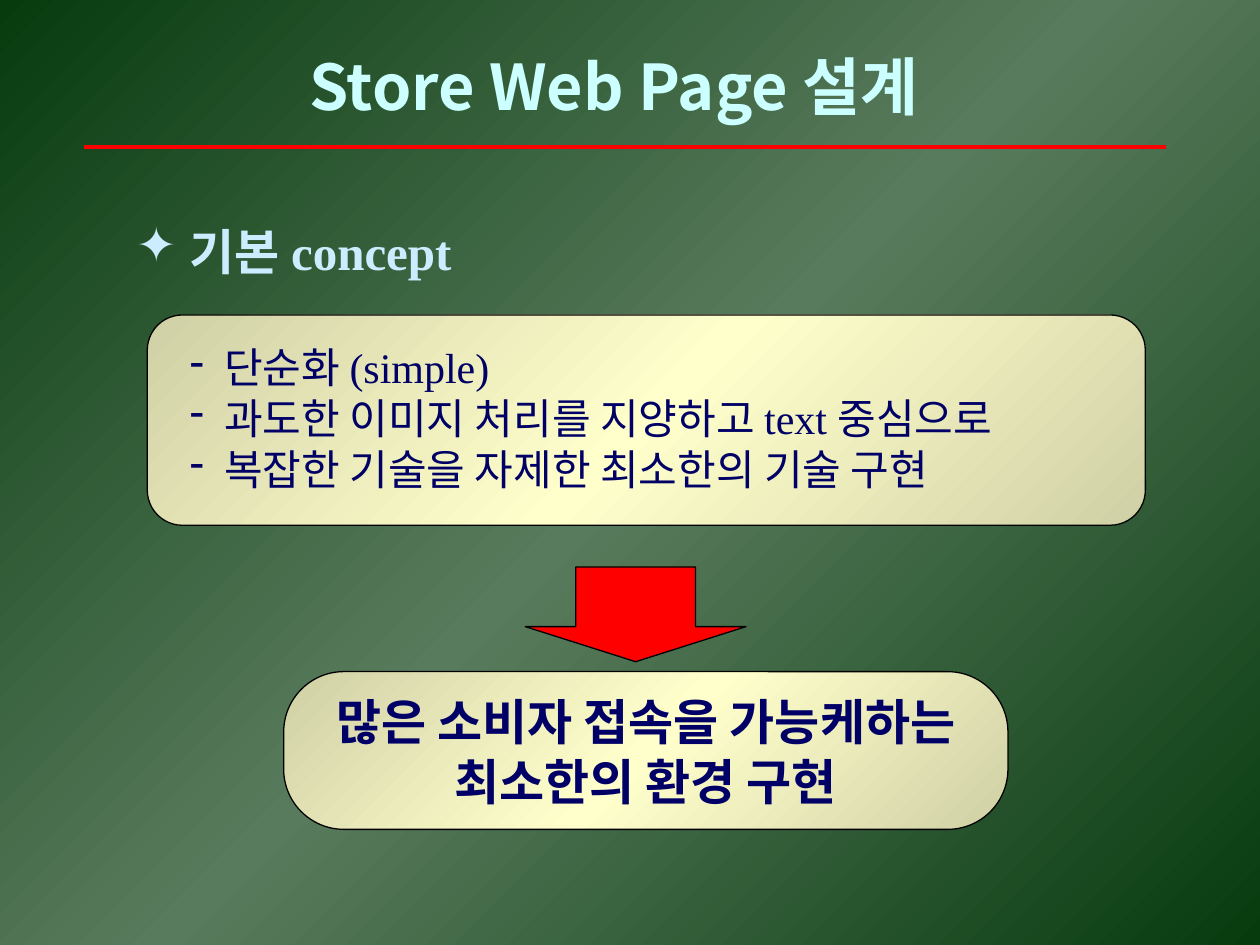
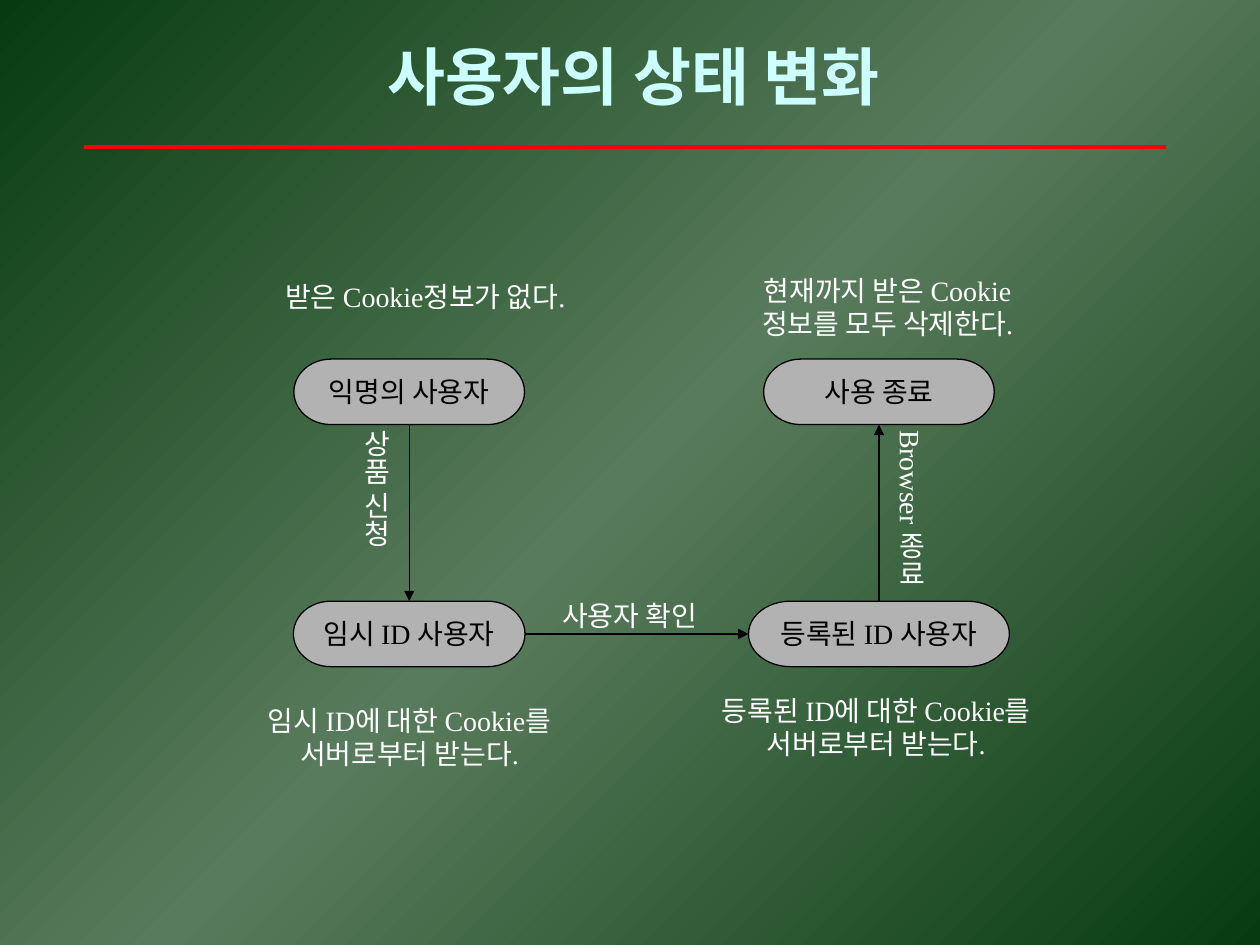
from copy import deepcopy
from dataclasses import dataclass

from lxml import etree
from pptx import Presentation
from pptx import util as u
from pptx.dml.color import RGBColor
from pptx.enum import shapes, text
from pptx.oxml import ns

DARK_GREEN = RGBColor(0x07, 0x3B, 0x0E)
LIGHT_GREEN = RGBColor(0x59, 0x7B, 0x5D)
SAND = RGBColor(0xD0, 0xD0, 0xA6)
CREAM = RGBColor(0xFF, 0xFF, 0xCC)
RED = RGBColor(0xFF, 0x00, 0x00)
BLACK = RGBColor(0x00, 0x00, 0x00)
WHITE = RGBColor(0xFF, 0xFF, 0xFF)
GRAY = RGBColor(0xB2, 0xB2, 0xB2)
NAVY = RGBColor(0x00, 0x00, 0x66)
PALE_CYAN = RGBColor(0xCC, 0xFF, 0xFF)
PALE_BLUE = RGBColor(0xCC, 0xEC, 0xFF)

SANS = "Noto Sans CJK KR"
SERIF = "Times New Roman"
LINE_FACTOR = 1.2

LEFT, CENTER = text.PP_ALIGN.LEFT, text.PP_ALIGN.CENTER
TOP, MIDDLE = text.MSO_ANCHOR.TOP, text.MSO_ANCHOR.MIDDLE
TOP_SIDE, LEFT_SIDE, BOTTOM_SIDE, RIGHT_SIDE = range(4)


@dataclass(frozen=True)
class Style:
    size: int
    color: RGBColor
    name: str = SERIF
    bold: bool = False


@dataclass(frozen=True)
class Frame:
    """A place on the page, in centimetres."""
    left: float
    top: float
    width: float
    height: float

    def lengths(self) -> tuple:
        return tuple(map(u.Cm, (self.left, self.top, self.width, self.height)))


@dataclass(frozen=True)
class Bullet:
    mark: str
    margin: float
    hanging: float


@dataclass(frozen=True)
class State:
    caption: str
    center: float
    top: float
    width: float


@dataclass(frozen=True)
class Label:
    caption: str
    frame: Frame
    vertical: bool = False


@dataclass(frozen=True)
class Step:
    """An arrow from a side of one state to a side of another."""
    start: str
    start_side: int
    end: str
    end_side: int


TITLE = Style(36, PALE_CYAN, SANS, True)
HEADING = Style(28, PALE_BLUE, bold=True)
ITEM = Style(24, NAVY)
CONCLUSION = Style(28, NAVY, bold=True)
STATE = Style(16, BLACK)
NOTE = Style(16, WHITE)

HEADING_BULLET = Bullet("✦", 1.09, 1.09)
ITEM_BULLET = Bullet("-", 1.78, 0.69)
CONCEPTS = (
    "단순화 (simple)",
    "과도한 이미지 처리를 지양하고 text 중심으로",
    "복잡한 기술을 자제한 최소한의 기술 구현",
)

LEFT_COLUMN, RIGHT_COLUMN = 8.25, 17.72
UPPER_ROW, LOWER_ROW = 7.24, 12.12
STATE_HEIGHT = 1.32
STATES = (
    State("익명의 사용자", LEFT_COLUMN, UPPER_ROW, 4.65),
    State("임시 ID 사용자", LEFT_COLUMN, LOWER_ROW, 4.67),
    State("등록된 ID 사용자", RIGHT_COLUMN, LOWER_ROW, 5.26),
    State("사용 종료", RIGHT_COLUMN, UPPER_ROW, 4.65),
)
STEPS = (
    Step("익명의 사용자", BOTTOM_SIDE, "임시 ID 사용자", TOP_SIDE),
    Step("임시 ID 사용자", RIGHT_SIDE, "등록된 ID 사용자", LEFT_SIDE),
    Step("등록된 ID 사용자", TOP_SIDE, "사용 종료", BOTTOM_SIDE),
)
LABELS = (
    Label("사용자 확인", Frame(10.89, 11.94, 3.6, 0.94)),
    Label("상품 신청", Frame(6.99, 8.42, 1.17, 4.2), vertical=True),
    Label("Browser 종료", Frame(17.78, 8.42, 1.17, 4.2), vertical=True),
    Label("임시 ID에 대한 Cookie를 서버로부터 받는다.", Frame(5.08, 14.05, 6.35, 1.63)),
    Label("등록된 ID에 대한 Cookie를 서버로부터 받는다.", Frame(14.17, 13.84, 6.99, 1.63)),
    Label("현재까지 받은 Cookie정보를 모두 삭제한다.", Frame(14.4, 5.38, 6.99, 1.63)),
    Label("받은 Cookie정보가 없다.", Frame(5.08, 5.51, 6.99, 0.94)),
)


def set_all(target, values: dict) -> None:
    for name, value in values.items():
        setattr(target, name, value)


def fill_axial(fill, element, edge: RGBColor, middle: RGBColor) -> None:
    """Fill diagonally from edge to middle and back to edge."""
    fill.gradient()
    fill.gradient_angle = 135
    stop_list = element.find(".//" + ns.qn("a:gsLst"))
    stop_list.append(deepcopy(stop_list[0]))
    for stop, color, position in zip(fill.gradient_stops, (edge, middle, edge), (0, 0.5, 1)):
        stop.color.rgb = color
        stop.position = position


def place(box, frame: Frame) -> None:
    set_all(box, dict(zip(("left", "top", "width", "height"), frame.lengths())))


def format_frame(box, anchor, wrap: bool = True, vertical: bool = False) -> None:
    side, end = (0.13, 0.25) if vertical else (0.25, 0.13)
    set_all(box.text_frame, {
        "auto_size": text.MSO_AUTO_SIZE.NONE,
        "word_wrap": wrap,
        "vertical_anchor": anchor,
        "margin_left": u.Cm(side),
        "margin_right": u.Cm(side),
        "margin_top": u.Cm(end),
        "margin_bottom": u.Cm(end),
    })
    if vertical:
        box.element.find(".//" + ns.qn("a:bodyPr")).set("vert", "eaVert")


def add_bullet(para, bullet: Bullet) -> None:
    properties = para._p.get_or_add_pPr()
    properties.set("marL", str(u.Cm(bullet.margin)))
    properties.set("indent", str(-u.Cm(bullet.hanging)))
    etree.SubElement(properties, ns.qn("a:buFontTx"))
    etree.SubElement(properties, ns.qn("a:buChar"), char=bullet.mark)


def write(para, words: str, style: Style, align=CENTER, space_before: int = 0) -> None:
    set_all(para, {
        "alignment": align,
        "line_spacing": u.Pt(round(style.size * LINE_FACTOR)),
        "space_before": u.Pt(space_before),
        "space_after": u.Pt(0),
    })
    span = para.add_run()
    span.text = words
    set_all(span.font, {"size": u.Pt(style.size), "bold": style.bold, "name": style.name})
    span.font.color.rgb = style.color
    etree.SubElement(span._r.get_or_add_rPr(), ns.qn("a:ea"), typeface=SANS)


def add_line(page, color: RGBColor, width: float, start=(0, 0), end=(0, 0)):
    line = page.shapes.add_connector(
        shapes.MSO_CONNECTOR.STRAIGHT, *map(u.Cm, start), *map(u.Cm, end))
    line.line.color.rgb = color
    line.line.width = u.Pt(width)
    etree.SubElement(line.element.spPr, ns.qn("a:effectLst"))
    return line


def add_outlined(page, preset, frame: Frame, adjustments: tuple = (), color=None):
    """Add a shape with a thin black line; without a colour it gets the cream gradient."""
    shape = page.shapes.add_shape(preset, *frame.lengths())
    shape.shadow.inherit = False
    for index, value in enumerate(adjustments):
        shape.adjustments[index] = value
    if color is None:
        fill_axial(shape.fill, shape.element, SAND, CREAM)
    else:
        shape.fill.solid()
        shape.fill.fore_color.rgb = color
    shape.line.color.rgb = BLACK
    shape.line.width = u.Pt(0.75)
    return shape


def add_page(deck, layout: int, title: str, frame: Frame, align=CENTER):
    page = deck.slides.add_slide(deck.slide_layouts[layout])
    box = page.shapes.title
    place(box, frame)
    format_frame(box, TOP)
    write(box.text_frame.paragraphs[0], title, TITLE, align)
    add_line(page, RED, 2.25, (1.7, 2.97), (23.5, 2.97))
    return page


def build_concept_page(deck) -> None:
    page = add_page(deck, 1, "Store Web Page 설계", Frame(5.99, 0.84, 13.6, 1.78), LEFT)
    rounded = shapes.MSO_SHAPE.ROUNDED_RECTANGLE

    body = page.placeholders[1]
    place(body, Frame(2.49, 4.32, 18.77, 5.72))
    format_frame(body, TOP)
    heading = body.text_frame.paragraphs[0]
    add_bullet(heading, HEADING_BULLET)
    write(heading, "기본 concept", HEADING, LEFT)
    for index, concept in enumerate(CONCEPTS):
        para = body.text_frame.add_paragraph()
        add_bullet(para, ITEM_BULLET)
        write(para, concept, ITEM, LEFT, space_before=0 if index else 35)

    panel = add_outlined(page, rounded, Frame(2.97, 6.35, 20.12, 4.24), (0.167,))
    body.element.addprevious(panel.element)

    conclusion = add_outlined(page, rounded, Frame(5.72, 13.54, 14.6, 3.18), (0.382,))
    format_frame(conclusion, MIDDLE, wrap=False)
    lines = conclusion.text_frame
    write(lines.paragraphs[0], "많은 소비자 접속을 가능케하는", CONCLUSION)
    write(lines.add_paragraph(), "최소한의 환경 구현", CONCLUSION)
    add_outlined(page, shapes.MSO_SHAPE.DOWN_ARROW, Frame(10.59, 11.43, 4.45, 1.91),
                 (0.542, 0.37), RED)


def build_state_page(deck) -> None:
    page = add_page(deck, 5, "사용자의 상태 변화", Frame(7.29, 0.64, 10.95, 1.78))

    boxes = {}
    for state in STATES:
        frame = Frame(state.center - state.width / 2, state.top, state.width, STATE_HEIGHT)
        box = add_outlined(page, shapes.MSO_SHAPE.FLOWCHART_TERMINATOR, frame, color=GRAY)
        format_frame(box, MIDDLE, wrap=False)
        write(box.text_frame.paragraphs[0], state.caption, STATE)
        boxes[state.caption] = box

    for step in STEPS:
        arrow = add_line(page, BLACK, 0.75)
        arrow.begin_connect(boxes[step.start], step.start_side)
        arrow.end_connect(boxes[step.end], step.end_side)
        etree.SubElement(arrow.line._get_or_add_ln(), ns.qn("a:tailEnd"), type="triangle")

    for label in LABELS:
        box = page.shapes.add_textbox(*label.frame.lengths())
        format_frame(box, MIDDLE, vertical=label.vertical)
        write(box.text_frame.paragraphs[0], label.caption, NOTE)


def main() -> None:
    deck = Presentation()
    deck.slide_width, deck.slide_height = u.Cm(25.4), u.Cm(19.05)
    master = deck.slide_master
    fill_axial(master.background.fill, master.element, DARK_GREEN, LIGHT_GREEN)
    build_concept_page(deck)
    build_state_page(deck)
    deck.save("out.pptx")


if __name__ == "__main__":
    main()
